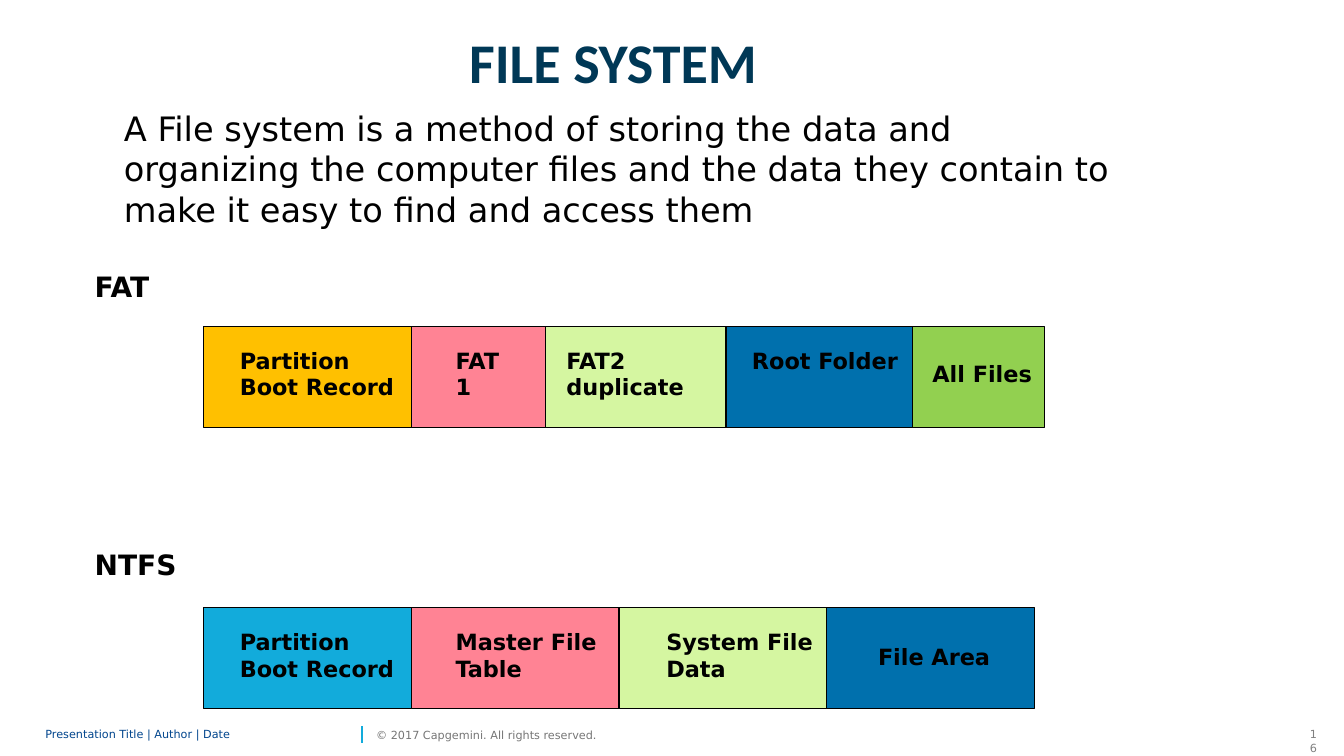
from pptx import Presentation
from pptx.dml.color import RGBColor
from pptx.enum.shapes import MSO_CONNECTOR as Connector, MSO_SHAPE as Shape
from pptx.enum.text import MSO_ANCHOR as Anchor, MSO_AUTO_SIZE as AutoSize, PP_ALIGN as Align
from pptx.oxml.ns import qn
from pptx.util import Inches, Pt
from lxml.etree import SubElement

TITLE = "FILE SYSTEM"
DEFINITION = ("A File system is a method of storing the data and organizing the computer files "
              "and the data they contain to make it easy to find and access them")

# Each block: text, fill, width, then label left, width and drop below the bar's top
LAYOUTS = [
    {"name": "FAT", "name_top": 2.62, "bar_top": 3.24, "blocks": [
        ("Partition Boot Record", "FFC000", 2.06, 2.28, 1.79, 0.15),
        ("FAT1", "FF8394", 1.33, 4.42, 0.72, 0.15),
        ("FAT2 duplicate", "D5F6A1", 1.79, 5.52, 1.84, 0.15),
        ("Root Folder", "0070AD", 1.85, 7.36, 1.79, 0.15),
        ("All Files", "92D050", 1.31, 9.15, 1.79, 0.28),
    ]},
    {"name": "NTFS", "name_top": 5.38, "bar_top": 6.03, "blocks": [
        ("Partition Boot Record", "12ABDB", 2.06, 2.28, 1.79, 0.15),
        ("Master File Table", "FF8394", 2.06, 4.42, 1.79, 0.15),
        ("System File Data", "D5F6A1", 2.06, 6.51, 1.79, 0.15),
        ("File Area", "0070AD", 2.06, 8.61, 1.79, 0.3),
    ]},
]
FOOTER = [
    ("Presentation Title | Author | Date", 0.45, 3.09, "00458D", 0.85),
    ("© 2017 Capgemini. All rights reserved.", 3.73, 2.43, "767676", 1),
]
FOOTER_TOP = 7.17
BAR_LEFT, BAR_HEIGHT = 2.02, 1


def rgb(value):
    return RGBColor.from_string(value)


def write(shape, text, size, color="000000", bold=False, font="DejaVu Sans",
          align=Align.LEFT, spacing=1.0, anchor=Anchor.TOP, inset=None):
    frame = shape.text_frame
    frame.text = text
    settings = {"word_wrap": True, "auto_size": AutoSize.NONE, "vertical_anchor": anchor}
    if inset is not None:
        settings.update({f"margin_{side}": Inches(inset)
                         for side in ("left", "top", "right", "bottom")})
    for name, value in settings.items():
        setattr(frame, name, value)
    paragraph = frame.paragraphs[0]
    paragraph.alignment, paragraph.line_spacing = align, spacing
    run_font = paragraph.runs[0].font
    for name, value in {"size": Pt(size), "bold": bold, "name": font}.items():
        setattr(run_font, name, value)
    run_font.color.rgb = rgb(color)


def add_text(slide, box, text, size, **style):
    write(slide.shapes.add_textbox(*map(Inches, box)), text, size, **style)


def add_block(slide, left, top, width, fill):
    block = slide.shapes.add_shape(
        Shape.RECTANGLE, *map(Inches, (left, top, width, BAR_HEIGHT)))
    block.shadow.inherit = False
    block.fill.solid()
    block.fill.fore_color.rgb = rgb(fill)
    block.line.color.rgb = rgb("000000")
    block.line.width = Pt(1)


def add_footer(slide):
    add_text(slide, (12.89, FOOTER_TOP, 0.27, 0.24), "16", 8, color="808080", align=Align.RIGHT)
    divider = slide.shapes.add_connector(
        Connector.STRAIGHT, *map(Inches, (3.59, 7.37, 3.59, 7.2)))
    divider.line.color.rgb = rgb("12ABDB")
    divider.line.width = Pt(1)
    SubElement(divider.element.spPr, qn("a:effectLst"))
    for text, left, width, color, spacing in FOOTER:
        add_text(slide, (left, FOOTER_TOP, width, 0.24), text, 8, color=color,
                 spacing=spacing, anchor=Anchor.MIDDLE, inset=0)


def add_disk_layout(slide, layout):
    add_text(slide, (0.84, layout["name_top"], 2.2, 0.44), layout["name"], 20, bold=True)
    top, left = layout["bar_top"], BAR_LEFT
    for _, fill, width, *_ in layout["blocks"]:
        add_block(slide, left, top, width, fill)
        left += width
    for text, _, _, label_left, label_width, drop in layout["blocks"]:
        add_text(slide, (label_left, top + drop, label_width, 0.64), text, 16, bold=True)


def main():
    deck = Presentation()
    deck.slide_width, deck.slide_height = Inches(13.33), Inches(7.5)
    slide = deck.slides.add_slide(deck.slide_layouts[5])

    title = slide.shapes.title
    title.left, title.top, title.width, title.height = map(Inches, (2.6, 0.3, 6.96, 0.97))
    write(title, TITLE, 40, color="003856", bold=True, font="Calibri",
          align=Align.CENTER, spacing=0.9)

    add_footer(slide)
    for layout in LAYOUTS:
        add_disk_layout(slide, layout)
    add_text(slide, (1.13, 1.02, 10.11, 1.31), DEFINITION, 24)
    deck.save("out.pptx")


if __name__ == "__main__":
    main()
